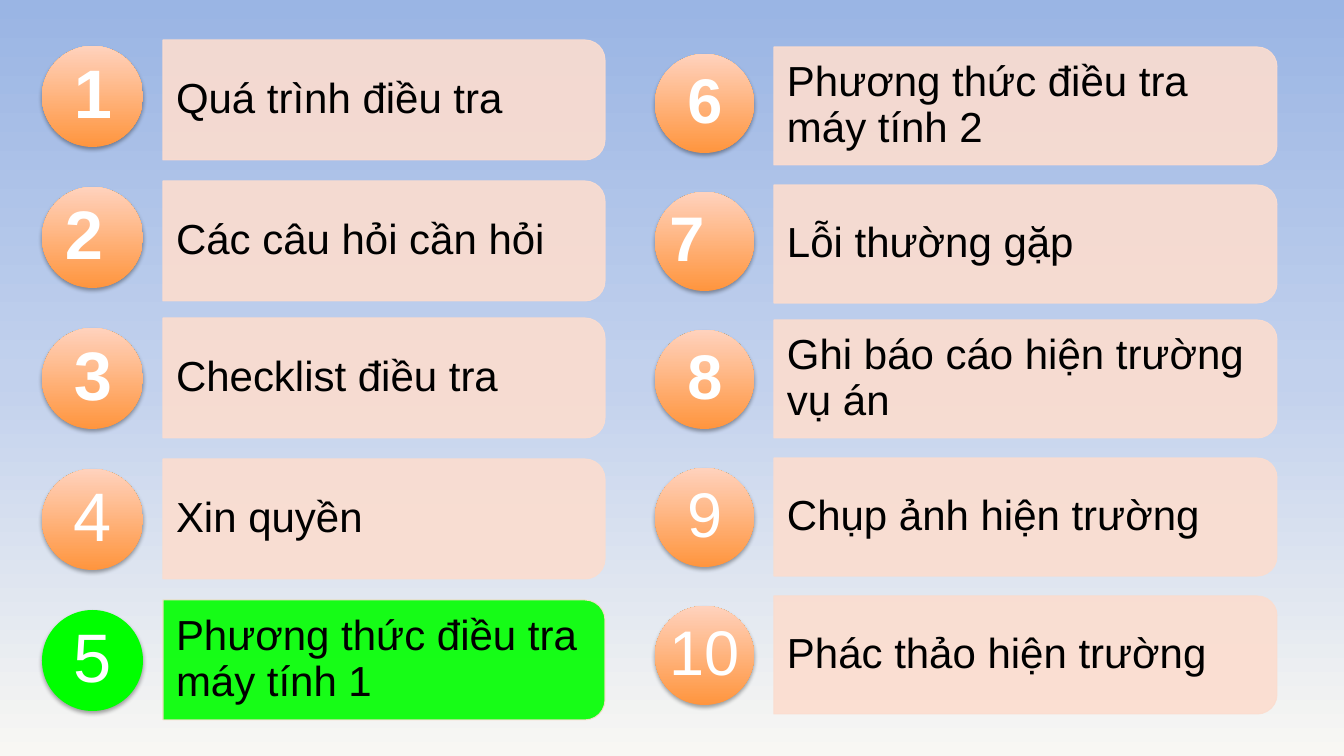
from copy import deepcopy

from lxml import etree
from pptx import Presentation
from pptx.dml.color import RGBColor
from pptx.enum.shapes import MSO_SHAPE
from pptx.enum.text import MSO_ANCHOR, PP_ALIGN
from pptx.oxml.ns import qn
from pptx.util import Pt

ROUNDED_END = MSO_SHAPE.ROUND_2_SAME_RECTANGLE
CIRCLE = MSO_SHAPE.OVAL
MIDDLE = MSO_ANCHOR.MIDDLE
LEFT, CENTER = PP_ALIGN.LEFT, PP_ALIGN.CENTER

THEME = {
    "font": "Arial",
    "topic_size": 30,
    "topic": RGBColor.from_string("000000"),
    "number": RGBColor.from_string("FFFFFF"),
    "bar": RGBColor.from_string("FCDDCF"),
    "current": RGBColor.from_string("00FF00"),
    "circle": ["FF953E", "FFD2BD"],
    "background": ["9AB5E4", "C2D1ED", "F8F7F3"],
}

PX_PER_INCH = 100.8
SCALE = 914400 / PX_PER_INCH


def px(length):
    """Turn px into EMU."""
    return round(length * SCALE)


def add_text(slide, text, left, top, width, height, *, size, color,
             bold=False, align=LEFT, insets=(0, 0, 0, 0)):
    frame = slide.shapes.add_textbox(px(left), px(top), px(width), px(height)).text_frame
    frame.word_wrap = True
    frame.vertical_anchor = MIDDLE
    frame.margin_left, frame.margin_top, frame.margin_right, frame.margin_bottom = map(px, insets)
    paragraph = frame.paragraphs[0]
    paragraph.alignment = align
    paragraph.line_spacing = 0.9
    run = paragraph.add_run()
    run.text = text
    run.font.name = THEME["font"]
    run.font.size = Pt(size)
    run.font.bold = bold
    run.font.color.rgb = color


presentation = Presentation()
presentation.slide_width = px(1344)
presentation.slide_height = px(756)
slide = presentation.slides.add_slide(presentation.slide_layouts[6])

# Background: three colours from top to bottom
background = slide.background.fill
background.gradient()
background.gradient_angle = 270
stop_list = next(slide.element.iter(qn("a:gsLst")))
stop_list.insert(1, deepcopy(stop_list[0]))
for index, stop in enumerate(background.gradient_stops):
    stop.position = index / 2
    stop.color.rgb = RGBColor.from_string(THEME["background"][index])

# Each topic: number, text, bold number, right inset that moves the number left
columns = [
    {
        "bar": (163, 40, 442, 120), "circle": (42, 46, 101), "pitch": 141, "nudge": 4,
        "number_size": 49,
        "topics": [
            ("1", "Quá trình điều tra", True, 0),
            ("2", "Các câu hỏi cần hỏi", True, 18),
            ("3", "Checklist điều tra", True, 0),
            ("4", "Xin quyền", False, 0),
            ("5", "Phương thức điều tra máy tính 1", False, 0),
        ],
    },
    {
        "bar": (774, 47, 503, 118), "circle": (655, 54, 99), "pitch": 138, "nudge": 3,
        "number_size": 45,
        "topics": [
            ("6", "Phương thức điều tra máy tính 2", True, 0),
            ("7", "Lỗi thường gặp", True, 36),
            ("8", "Ghi báo cáo hiện trường vụ án", True, 0),
            ("9", "Chụp ảnh hiện trường", False, 0),
            ("10", "Phác thảo hiện trường", False, 0),
        ],
    },
]
CURRENT_NUMBER = "5"

for column in columns:
    bar_left, first_bar_top, bar_width, bar_height = column["bar"]
    circle_left, first_circle_top, diameter = column["circle"]
    for row, (number, topic, bold, shift) in enumerate(column["topics"]):
        offset = row * column["pitch"]
        bar_top = first_bar_top + offset - (column["nudge"] if row >= 2 else 0)
        circle_top = first_circle_top + offset
        is_current = number == CURRENT_NUMBER

        # The bar stands upright and is turned so its round corners face right
        bar = slide.shapes.add_shape(
            ROUNDED_END,
            px(bar_left + (bar_width - bar_height) / 2),
            px(bar_top - (bar_width - bar_height) / 2),
            px(bar_height), px(bar_width))
        bar.rotation = 90
        bar.shadow.inherit = False
        bar.fill.solid()
        bar.fill.fore_color.rgb = THEME["current"] if is_current else THEME["bar"]
        bar.line.color.rgb = THEME["bar"]
        bar.line.width = Pt(0.75)
        for color in bar.element.iter(qn("a:srgbClr")):
            etree.SubElement(color, qn("a:alpha"), val="90000")
        add_text(slide, topic, bar_left, bar_top + 6, bar_width - 7, bar_height - 12,
                 size=THEME["topic_size"], color=THEME["topic"], insets=(13, 8, 12, 8))

        circle = slide.shapes.add_shape(
            CIRCLE, px(circle_left), px(circle_top), px(diameter), px(diameter))
        circle.line.fill.background()
        if is_current:
            circle.fill.solid()
            circle.fill.fore_color.rgb = THEME["current"]
        else:
            circle.fill.gradient()
            circle.fill.gradient_angle = 90
            for index, stop in enumerate(circle.fill.gradient_stops):
                stop.position = index
                stop.color.rgb = RGBColor.from_string(THEME["circle"][index])
        circle.shadow.inherit = False
        effects = next(circle.element.iter(qn("a:effectLst")))
        shadow = etree.SubElement(effects, qn("a:outerShdw"), blurRad="40000",
                                  dist="23000", dir="5400000", rotWithShape="0")
        shadow_color = etree.SubElement(shadow, qn("a:srgbClr"), val="000000")
        etree.SubElement(shadow_color, qn("a:alpha"), val="35000")
        add_text(slide, number, circle_left + 14, circle_top + 14, diameter - 27, diameter - 28,
                 size=column["number_size"], color=THEME["number"], bold=bold,
                 align=CENTER, insets=(0, 0, shift, 0))

presentation.save("out.pptx")
